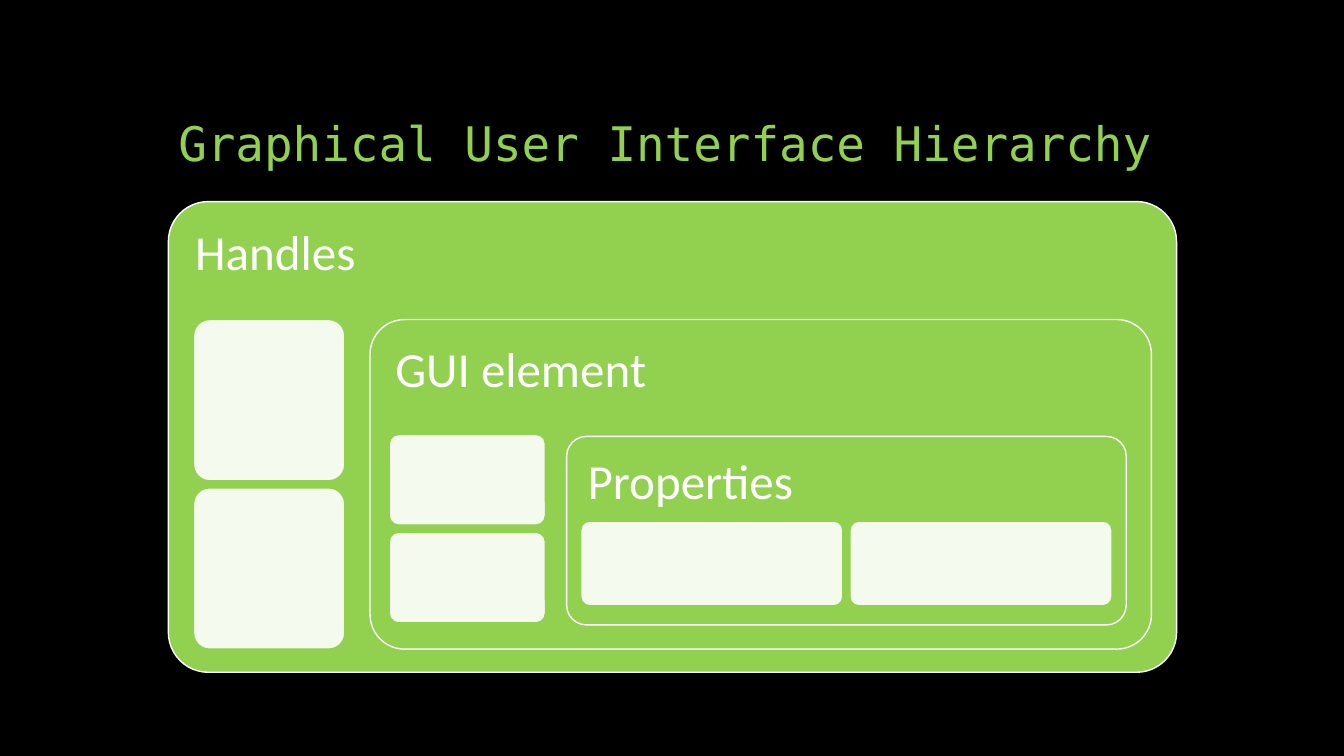
import pptx
import pptx.util
import pptx.dml.color
import pptx.enum.shapes
import pptx.enum.text
import pptx.oxml.ns
from lxml import etree

Inches, Pt = pptx.util.Inches, pptx.util.Pt
ANCHOR = pptx.enum.text.MSO_ANCHOR
COLORS = {"background": "000000", "green": "92D050", "white": "FFFFFF"}
GAP = 0.07


def rgb(name):
    return pptx.dml.color.RGBColor.from_string(COLORS[name])


def write_text(sp, text, size, color="white", font="Calibri",
               anchor=ANCHOR.TOP, inset_x=0.15, inset_y=0.15, space_after=0):
    tf = sp.text_frame
    tf.word_wrap = True
    tf.vertical_anchor = anchor
    tf.margin_left = tf.margin_right = Inches(inset_x)
    tf.margin_top = tf.margin_bottom = Inches(inset_y)
    p = tf.paragraphs[0]
    p.alignment = pptx.enum.text.PP_ALIGN.LEFT
    p.line_spacing = 0.9
    p.space_after = Pt(space_after)
    r = p.add_run()
    r.text = text
    r.font.size = Pt(size)
    r.font.name = font
    r.font.color.rgb = rgb(color)


def add_title(s, text):
    sp = s.shapes.add_textbox(Inches(1.67), Inches(0.5), Inches(10), Inches(1.25))
    write_text(sp, text, 34, color="green", font="DejaVu Sans Mono",
               anchor=ANCHOR.BOTTOM, inset_x=0.1, inset_y=0.05)


def add_round_box(s, left, top, width, height, fill, line, corner=0.105):
    sp = s.shapes.add_shape(pptx.enum.shapes.MSO_SHAPE.ROUNDED_RECTANGLE,
                            Inches(left), Inches(top), Inches(width), Inches(height))
    sp.adjustments[0] = corner
    sp.shadow.inherit = False
    sp.fill.solid()
    sp.fill.fore_color.rgb = rgb(fill)
    sp.line.color.rgb = rgb(line)
    sp.line.width = Pt(1)
    return sp


def set_opacity(sp, percent):
    clr = sp.fill.fore_color._xFill.find(pptx.oxml.ns.qn("a:srgbClr"))
    etree.SubElement(clr, pptx.oxml.ns.qn("a:alpha"), val=str(percent * 1000))


def add_level(s, name, left, top, width, height, corner=0.105):
    """Add a green container with its heading at the top left."""
    sp = add_round_box(s, left, top, width, height, "green", "white", corner)
    write_text(sp, name, 35, space_after=12)


def add_item_pair(s, left, top, width, height, across=False):
    """Add two pale boxes in a column, or in a row when across is set."""
    for i in range(2):
        x = left + i * (width + GAP) * across
        y = top + i * (height + GAP) * (not across)
        sp = add_round_box(s, x, y, width, height, "white", "green")
        set_opacity(sp, 90)


def main():
    prs = pptx.Presentation()
    prs.slide_width, prs.slide_height = Inches(13.33), Inches(7.5)
    s = prs.slides.add_slide(prs.slide_layouts[6])
    s.background.fill.solid()
    s.background.fill.fore_color.rgb = rgb("background")

    add_title(s, "Graphical User Interface Hierarchy")
    add_level(s, "Handles", 1.67, 2, 10, 4.67, corner=0.085)
    add_item_pair(s, 1.92, 3.17, 1.5, 1.6)
    add_level(s, "GUI element", 3.67, 3.17, 7.75, 3.27)
    add_item_pair(s, 3.86, 4.31, 1.55, 0.9)
    add_level(s, "Properties", 5.62, 4.33, 5.55, 1.87)
    add_item_pair(s, 5.76, 5.17, 2.6, 0.84, across=True)

    prs.save("out.pptx")


if __name__ == "__main__":
    main()
